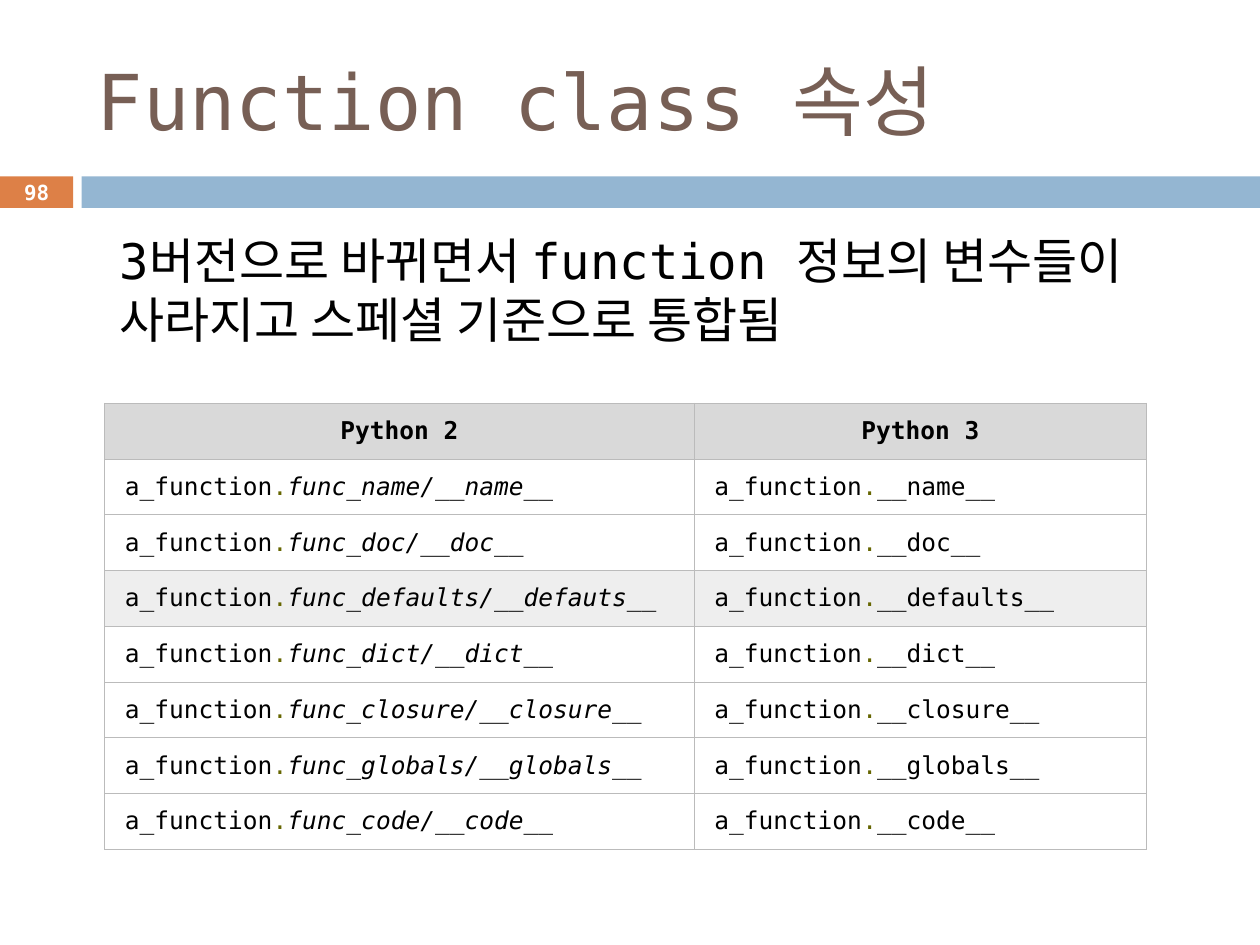
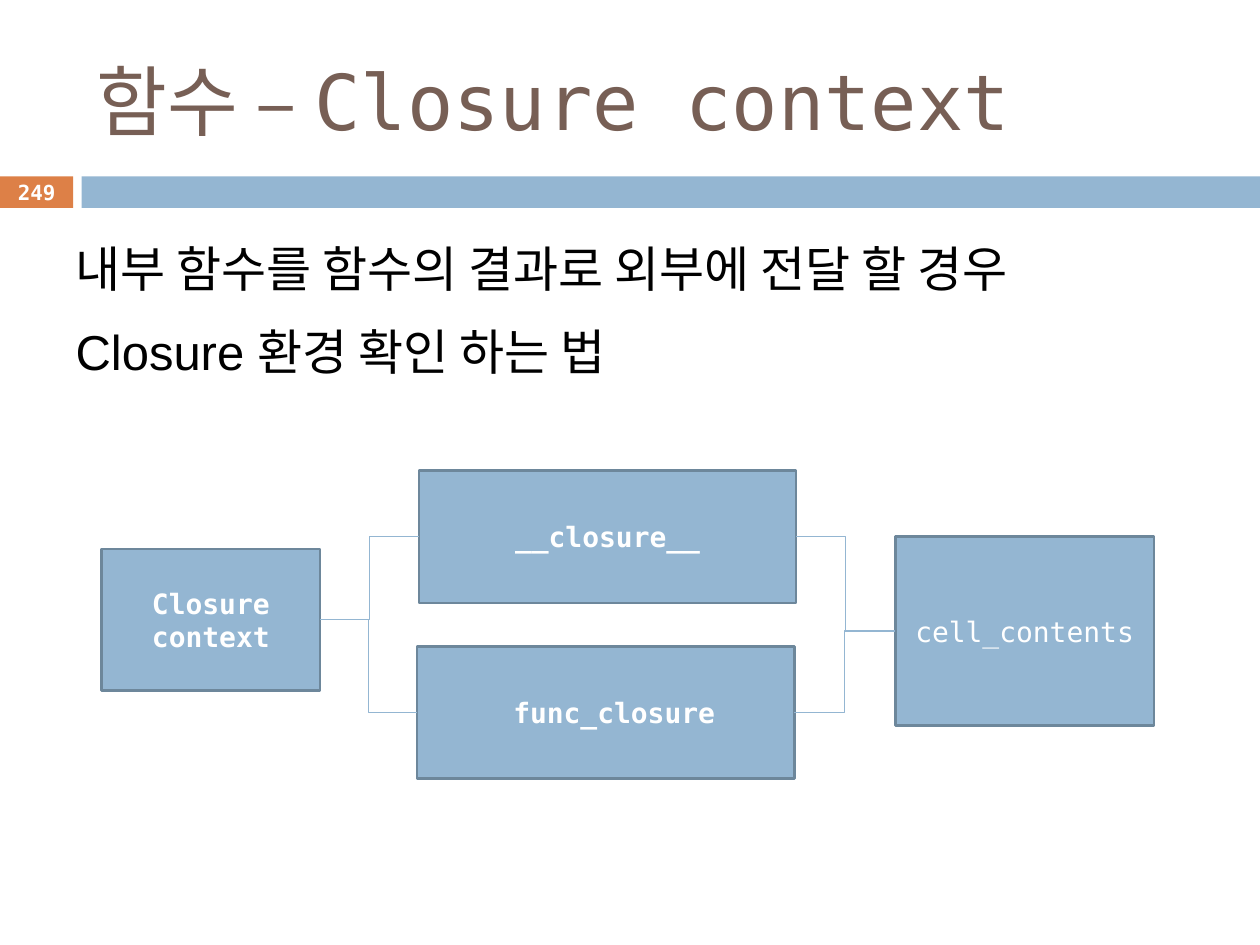
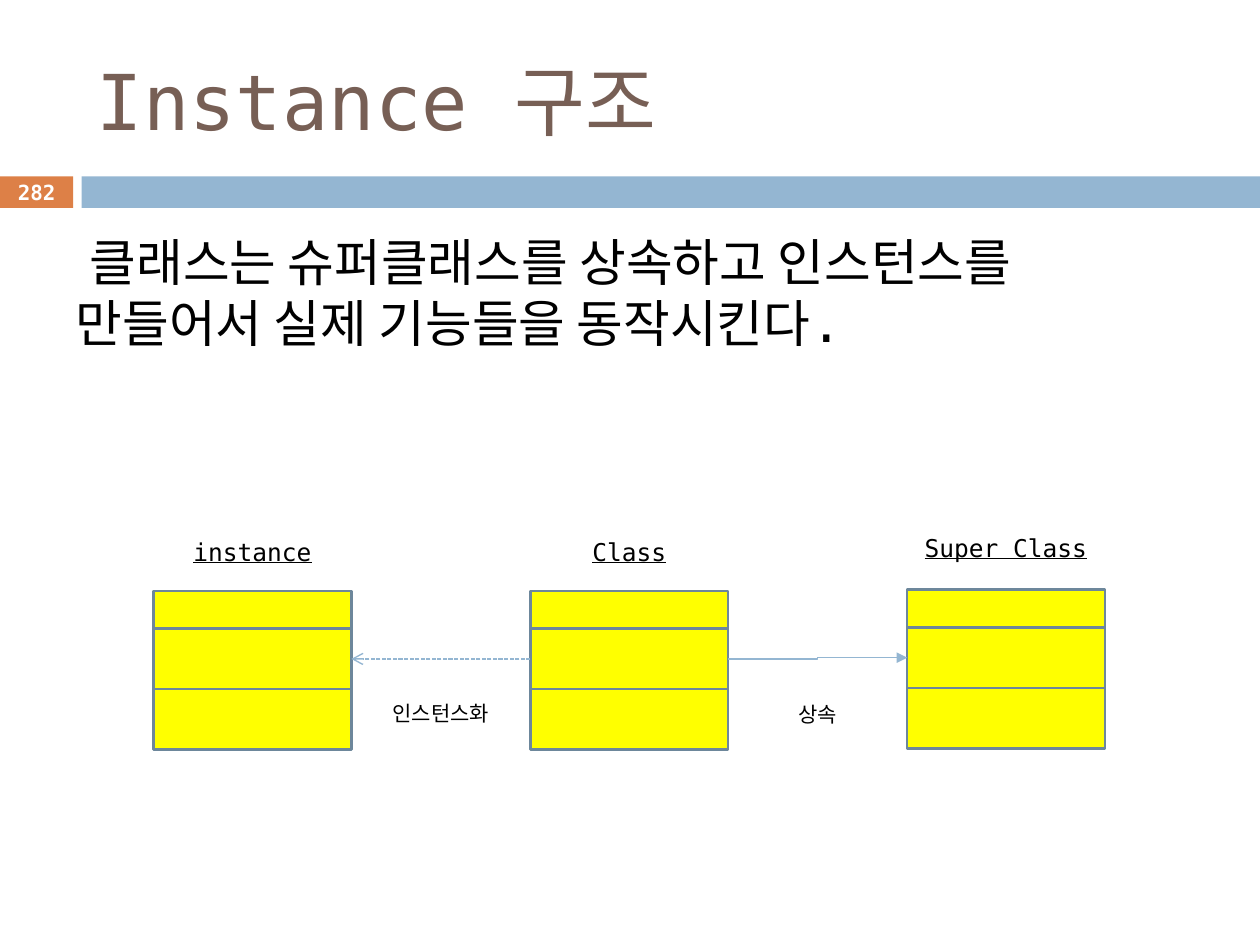
from dataclasses import dataclass

from lxml import etree
from pptx import Presentation
from pptx.dml.color import RGBColor
from pptx.enum.dml import MSO_LINE
from pptx.enum.shapes import MSO_CONNECTOR, MSO_SHAPE
from pptx.enum.text import MSO_ANCHOR, MSO_AUTO_SIZE, PP_ALIGN
from pptx.oxml.ns import qn
from pptx.util import Pt

RECTANGLE = MSO_SHAPE.RECTANGLE
STRAIGHT, ELBOW = MSO_CONNECTOR.STRAIGHT, MSO_CONNECTOR.ELBOW
SHORT_DASH = MSO_LINE.SQUARE_DOT
MIDDLE = MSO_ANCHOR.MIDDLE
LEFT_ALIGNED, CENTERED = PP_ALIGN.LEFT, PP_ALIGN.CENTER
FIXED_SIZE, GROW = MSO_AUTO_SIZE.NONE, MSO_AUTO_SIZE.SHAPE_TO_FIT_TEXT
LEFT_SIDE, RIGHT_SIDE = 1, 3


@dataclass(frozen=True)
class Theme:
    mono: str = "DejaVu Sans Mono"
    sans: str = "Arial"
    title: str = "775F55"
    black: str = "000000"
    white: str = "FFFFFF"
    orange: str = "DD8047"
    blue: str = "94B6D2"
    outline: str = "6D879B"
    yellow: str = "FFFF00"
    table_border: str = "BBBBBB"
    table_header: str = "D9D9D9"
    table_highlight: str = "EEEEEE"
    dot: str = "666600"
    title_size: float = 44
    body_size: float = 28
    large_body_size: float = 29
    box_size: float = 16
    label_size: float = 14
    caption_size: float = 12
    number_size: float = 11.9
    outline_width: float = 1.5
    connector_width: float = 0.79
    border_width: float = 0.6


THEME = Theme()


@dataclass(frozen=True)
class Area:
    left: float
    top: float
    width: float
    height: float

    def points(self) -> tuple:
        return Pt(self.left), Pt(self.top), Pt(self.width), Pt(self.height)


@dataclass(frozen=True)
class Body:
    area: Area
    lines: tuple
    font: str = THEME.mono
    size: float = THEME.body_size
    level: int = 0
    margin: float = 0
    indent: float = 0
    line_spacing: float = 1.0
    space_before: float = 0


@dataclass(frozen=True)
class Page:
    number: int
    title: str
    body: Body


@dataclass(frozen=True)
class Box:
    area: Area
    text: str
    bold: bool = True
    extra_left_inset: float = 0


@dataclass(frozen=True)
class ClassColumn:
    name: str
    top: float
    label_top: float


TITLE_AREA = Area(48.2, 18, 642.2, 77.8)
NUMBER_AREA = Area(0, 100, 41.8, 19.4)
BANDS = (
    (Area(0, 100.8, 41.8, 18), THEME.orange),
    (Area(46.6, 100.8, 673.4, 18), THEME.blue),
)

PAGES = (
    Page(98, "Function class 속성", Body(
        Area(36, 128.2, 648, 102.2),
        ("3버전으로 바뀌면서 function 정보의 변수들이 사라지고 스페셜 기준으로 통합됨",),
        level=1, margin=25.2)),
    Page(249, "함수 – Closure context", Body(
        Area(36, 126, 648, 98.6),
        ("내부 함수를 함수의 결과로 외부에 전달 할 경우", "Closure 환경 확인 하는 법"),
        font=THEME.sans, line_spacing=1.2, space_before=7)),
    Page(282, "Instance 구조", Body(
        Area(36, 128.2, 648, 93.6),
        ("클래스는 슈퍼클래스를 상속하고 인스턴스를 만들어서 실제 기능들을 동작시킨다.",),
        size=THEME.large_body_size, indent=8)),
)


# Shared helpers

def rgb(color: str) -> RGBColor:
    return RGBColor.from_string(color)


def style_font(font, size: float, color: str, name: str = THEME.mono,
               bold: bool = False, underline: bool = False) -> None:
    font.name, font.size, font.bold = name, Pt(size), bold
    font.color.rgb = rgb(color)
    if underline:
        font.underline = True


def add_rectangle(slide, area: Area, fill: str, outlined: bool = True):
    shape = slide.shapes.add_shape(RECTANGLE, *area.points())
    shape.shadow.inherit = False
    shape.fill.solid()
    shape.fill.fore_color.rgb = rgb(fill)
    if outlined:
        shape.line.color.rgb = rgb(THEME.outline)
        shape.line.width = Pt(THEME.outline_width)
    else:
        shape.line.fill.background()
    return shape


def add_label(slide, area: Area, text: str, size: float, color: str = THEME.black,
              bold: bool = False, underline: bool = False):
    frame = slide.shapes.add_textbox(*area.points()).text_frame
    frame.word_wrap = True
    frame.text = text
    paragraph = frame.paragraphs[0]
    paragraph.alignment = CENTERED
    style_font(paragraph.font, size, color, bold=bold, underline=underline)
    return frame


def connect(slide, kind, start, start_side: int, end, end_side: int,
            arrowhead: str = "", dash=None) -> None:
    connector = slide.shapes.add_connector(kind, 0, 0, 0, 0)
    connector.begin_connect(start, start_side)
    connector.end_connect(end, end_side)
    connector.line.color.rgb = rgb(THEME.blue)
    connector.line.width = Pt(THEME.connector_width)
    if dash is not None:
        connector.line.dash_style = dash
    properties = connector.element.spPr
    if arrowhead:
        etree.SubElement(properties.find(qn("a:ln")), qn("a:tailEnd"), type=arrowhead)
    etree.SubElement(properties, qn("a:effectLst"))


# Slide frame: bands, title, list and number

def prepare_layout(layout, slide) -> None:
    title = layout.placeholders[0]
    title.left, title.top, title.width, title.height = TITLE_AREA.points()
    for area, color in BANDS:
        band = add_rectangle(slide, area, color, outlined=False)
        layout.shapes.element.append(band.element)


def fill_title(slide, text: str) -> None:
    frame = slide.shapes.title.text_frame
    frame.text = text
    frame.auto_size = FIXED_SIZE
    frame.vertical_anchor = MIDDLE
    paragraph = frame.paragraphs[0]
    paragraph.alignment = LEFT_ALIGNED
    style_font(paragraph.font, THEME.title_size, THEME.title)


def fill_body(slide, body: Body) -> None:
    placeholder = slide.placeholders[1]
    (placeholder.left, placeholder.top,
     placeholder.width, placeholder.height) = body.area.points()
    frame = placeholder.text_frame
    frame.text = "\n".join(body.lines)
    frame.auto_size = FIXED_SIZE
    for index, paragraph in enumerate(frame.paragraphs):
        paragraph.level = body.level
        paragraph.line_spacing = body.line_spacing
        paragraph.space_before = Pt(body.space_before if index else 0)
        properties = paragraph._p.get_or_add_pPr()
        properties.set("marL", str(Pt(body.margin)))
        properties.set("indent", str(Pt(body.indent)))
        etree.SubElement(properties, qn("a:buNone"))
        style_font(paragraph.font, body.size, THEME.black, body.font)


def fill_frame(slide, page: Page) -> None:
    fill_title(slide, page.title)
    fill_body(slide, page.body)
    number = add_label(slide, NUMBER_AREA, str(page.number), THEME.number_size,
                       THEME.white, bold=True)
    number.vertical_anchor = MIDDLE


# Function attribute table

def format_cell(cell, fill: str, side_margin: float) -> None:
    cell.vertical_anchor = MIDDLE
    cell.margin_left = cell.margin_right = Pt(side_margin)
    cell.margin_top = cell.margin_bottom = Pt(2.2)
    properties = cell._tc.get_or_add_tcPr()
    for side in ("a:lnL", "a:lnR", "a:lnT", "a:lnB"):
        border = etree.SubElement(properties, qn(side), w=str(Pt(THEME.border_width)))
        solid = etree.SubElement(border, qn("a:solidFill"))
        etree.SubElement(solid, qn("a:srgbClr"), val=THEME.table_border)
    cell.fill.solid()
    cell.fill.fore_color.rgb = rgb(fill)


def write_attribute(cell, attribute: str, italic: bool) -> None:
    paragraph = cell.text_frame.paragraphs[0]
    style_font(paragraph.font, THEME.label_size, THEME.black)
    owner, dot, name = (paragraph.add_run() for _ in range(3))
    owner.text, dot.text, name.text = "a_function", ".", attribute
    dot.font.color.rgb = rgb(THEME.dot)
    if italic:
        name.font.italic = True


def draw_attribute_table(slide) -> None:
    names = ("name", "doc", "defaults", "dict", "closure", "globals", "code")
    misspelled = {"defaults": "defauts"}
    area = Area(59.8, 230.4, 595.4, 254.9)
    table = slide.shapes.add_table(len(names) + 1, 2, *area.points()).table
    table.first_row = table.horz_banding = False
    for column, width in zip(table.columns, (336.9, 258.5)):
        column.width = Pt(width)

    for cell, heading in zip(table.rows[0].cells, ("Python 2", "Python 3")):
        format_cell(cell, THEME.table_header, 4.3)
        cell.text = heading
        paragraph = cell.text_frame.paragraphs[0]
        paragraph.alignment = CENTERED
        style_font(paragraph.font, THEME.label_size, THEME.black, bold=True)

    for row, name in enumerate(names, start=1):
        fill = THEME.table_highlight if name == "defaults" else THEME.white
        old = f"func_{name}/__{misspelled.get(name, name)}__"
        for column, attribute in enumerate((old, f"__{name}__")):
            cell = table.cell(row, column)
            format_cell(cell, fill, 11.5)
            write_attribute(cell, attribute, italic=column == 0)


# Closure context diagram

def add_box(slide, box: Box):
    shape = add_rectangle(slide, box.area, THEME.blue)
    frame = shape.text_frame
    frame.word_wrap = True
    frame.vertical_anchor = MIDDLE
    frame.margin_left += Pt(box.extra_left_inset)
    frame.text = box.text
    for paragraph in frame.paragraphs:
        paragraph.alignment = CENTERED
        style_font(paragraph.font, THEME.box_size, THEME.white, bold=box.bold)
    return shape


def draw_closure_diagram(slide) -> None:
    context = add_box(slide, Box(Area(58, 313.7, 125, 80.9), "Closure\ncontext"))
    contents = add_box(slide, Box(Area(511.6, 306.6, 147.8, 108), "cell_contents", bold=False))
    attributes = (
        Box(Area(239.4, 268.9, 215.6, 75.6), "__closure__"),
        Box(Area(238.3, 369.4, 215.6, 75.6), "func_closure", extra_left_inset=9.6),
    )
    for box in attributes:
        attribute = add_box(slide, box)
        connect(slide, ELBOW, context, RIGHT_SIDE, attribute, LEFT_SIDE)
        connect(slide, ELBOW, attribute, RIGHT_SIDE, contents, LEFT_SIDE)


# Instance, class and super class diagram

def add_class_column(slide, column: ClassColumn, left: float):
    width = 113
    top = column.top
    compartments = []
    for height in (21.6, 34.5, 34.5):
        compartments.append(add_rectangle(slide, Area(left, top, width, height), THEME.yellow))
        top += height
    label = add_label(slide, Area(left, column.label_top, width, 24.2), column.name,
                      THEME.label_size, underline=True)
    label.auto_size = GROW
    return compartments[1]


def draw_instance_diagram(slide) -> None:
    first_left, step = 87.8, 215.3
    columns = (
        ClassColumn("instance", 337.7, 303.1),
        ClassColumn("Class", 337.7, 303.1),
        ClassColumn("Super Class", 337, 301),
    )
    instance, middle_class, super_class = (
        add_class_column(slide, column, first_left + index * step)
        for index, column in enumerate(columns))
    connect(slide, ELBOW, middle_class, RIGHT_SIDE, super_class, LEFT_SIDE, "triangle")
    connect(slide, STRAIGHT, middle_class, LEFT_SIDE, instance, RIGHT_SIDE, "arrow", SHORT_DASH)
    captions = (
        (Area(433.4, 397.4, 67.7, 21.6), "상속"),
        (Area(212.4, 396.7, 79.2, 21.6), "인스턴스화"),
    )
    for area, text in captions:
        add_label(slide, area, text, THEME.caption_size).auto_size = GROW


def main() -> None:
    presentation = Presentation()
    presentation.slide_width, presentation.slide_height = Pt(720), Pt(540)
    layout = presentation.slide_layouts[1]
    slides = [presentation.slides.add_slide(layout) for _ in PAGES]
    prepare_layout(layout, slides[0])
    drawings = (draw_attribute_table, draw_closure_diagram, draw_instance_diagram)
    for slide, page, draw in zip(slides, PAGES, drawings):
        fill_frame(slide, page)
        draw(slide)
    presentation.save("out.pptx")


if __name__ == "__main__":
    main()
